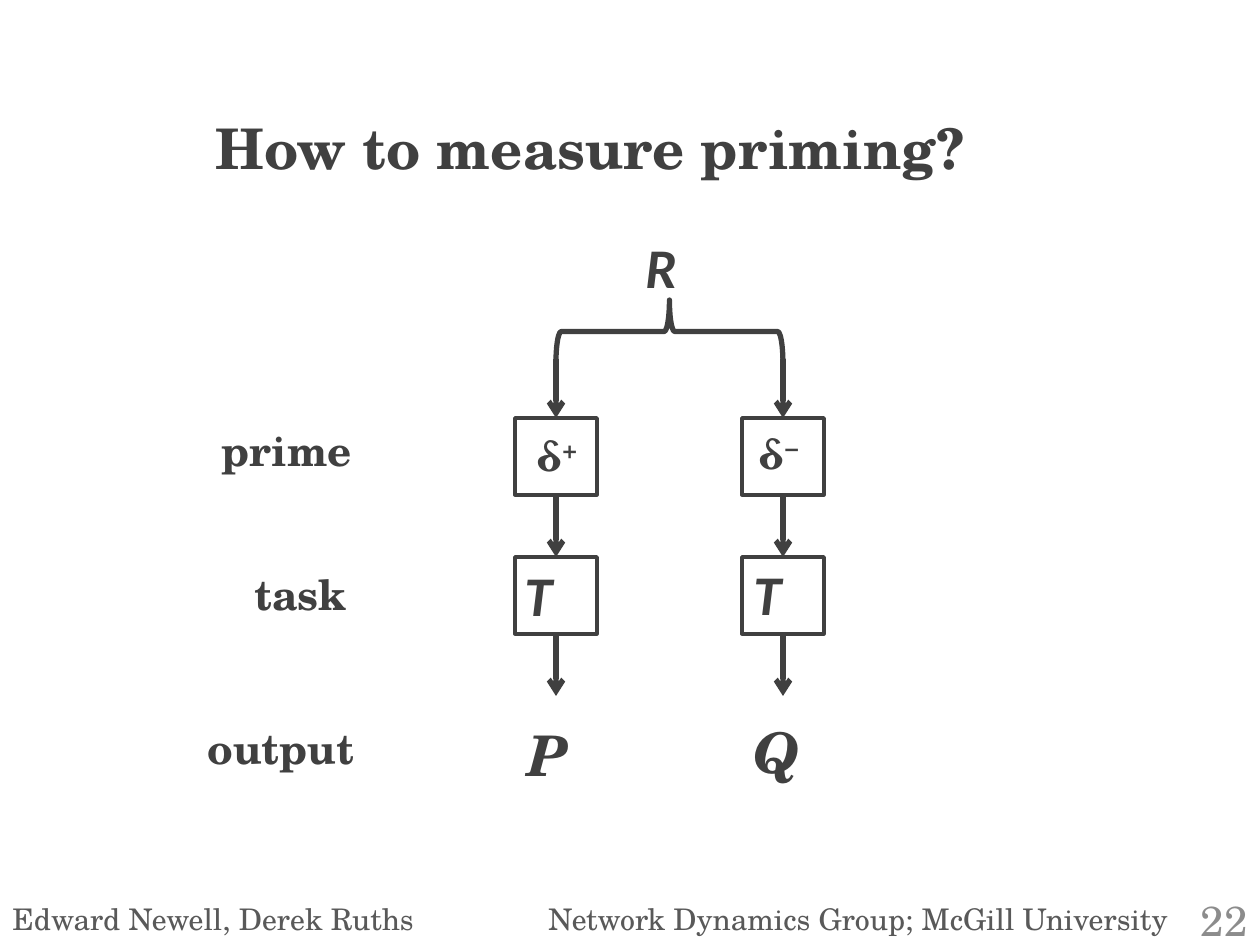
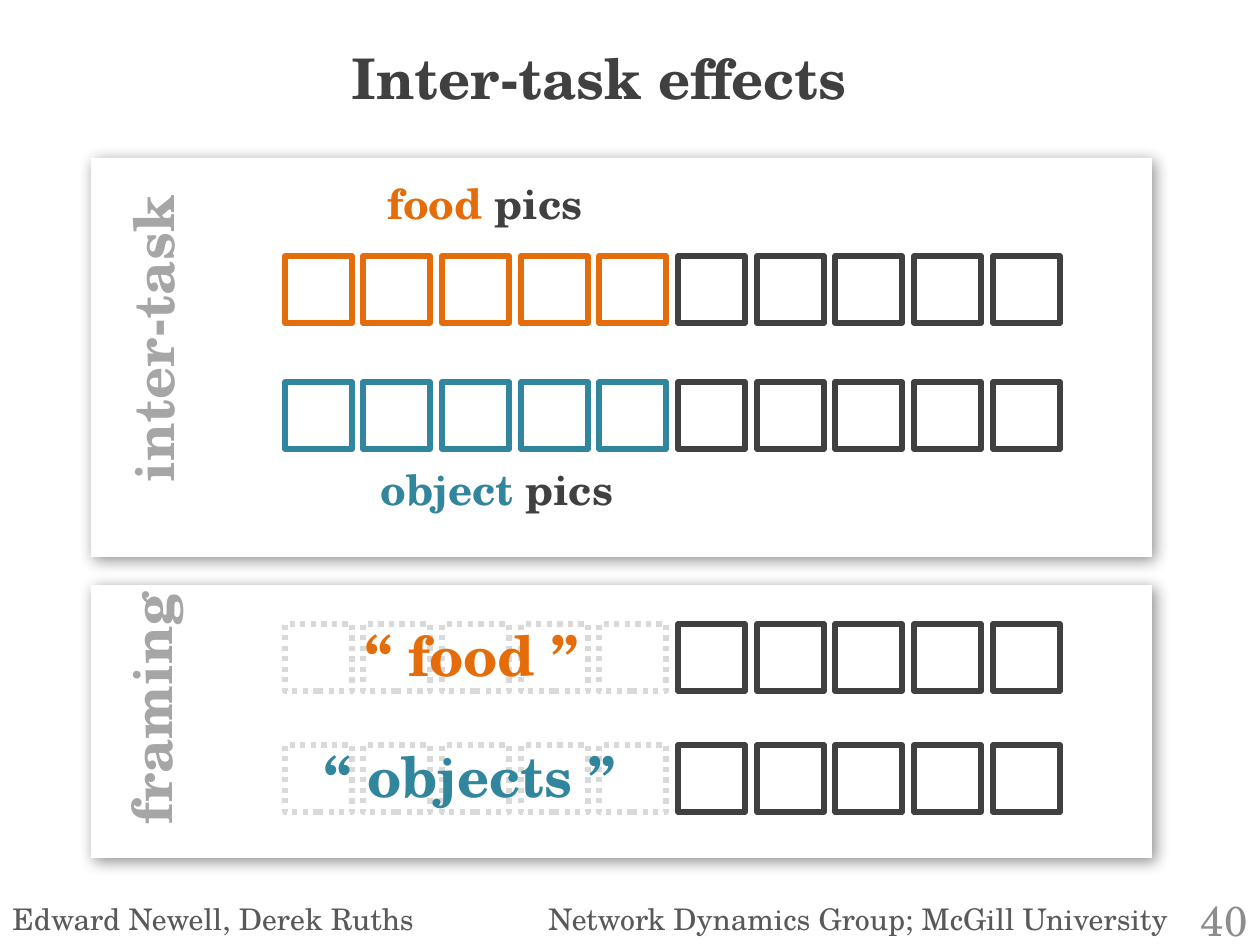
from lxml import etree
from pptx import Presentation
from pptx.dml.color import RGBColor
from pptx.enum.dml import MSO_LINE
from pptx.enum.shapes import MSO_CONNECTOR, MSO_SHAPE
from pptx.enum.text import MSO_ANCHOR, PP_ALIGN
from pptx.oxml.ns import qn
from pptx.util import Inches, Pt

PX = Inches(1) / 126
COLORS = {
    "ink": "404040", "footer": "595959", "number": "8C8C8C", "side": "A6A6A6",
    "ghost": "D9D9D9", "food": "E46C0A", "object": "31859C",
    "panel": "FFFFFF", "shadow": "000000",
}
SERIF, SANS = "TeX Gyre Schola", "Calibri"
TOP, BOTTOM = 0, 2  # connection sites of a rectangle


def emu(*lengths):
    return [round(n * PX) for n in lengths]


def rgb(name):
    return RGBColor.from_string(COLORS[name])


def sub(parent, tag, **attrs):
    return etree.SubElement(parent, qn(tag), attrs)


# ---- basic parts ----
def add_text(slide, box, segments, size, color="ink", font=SERIF, bold=True,
             italic=False, tab=None):
    """Segments: a string, or a list of (text, color, baseline in percent)."""
    sp = slide.shapes.add_textbox(*emu(*box))
    tf = sp.text_frame
    tf.word_wrap = True
    p = tf.paragraphs[0]
    if tab:
        tabs = sub(p._p.get_or_add_pPr(), "a:tabLst")
        sub(tabs, "a:tab", pos=str(emu(tab)[0]), algn="l")
    if isinstance(segments, str):
        segments = [(segments, color, 0)]
    for text, name, baseline in segments:
        r = p.add_run()
        r.text = text
        r.font.name, r.font.size = font, Pt(size)
        r.font.bold, r.font.italic = bold, italic
        r.font.color.rgb = rgb(name)
        if baseline:
            r._r.get_or_add_rPr().set("baseline", str(baseline * 1000))
    return sp


def add_outline(slide, kind, box, color="ink", width=2, dash=None):
    sp = slide.shapes.add_shape(kind, *emu(*box))
    sp.shadow.inherit = False
    sp.fill.background()
    sp.line.color.rgb = rgb(color)
    sp.line.width = Pt(width)
    if dash:
        sp.line.dash_style = dash
    return sp


def add_arrow(slide, x, y1, y2, source=None, target=None):
    c = slide.shapes.add_connector(MSO_CONNECTOR.STRAIGHT, *emu(x, y1, x, y2))
    if source is not None:
        c.begin_connect(source, BOTTOM)
    if target is not None:
        c.end_connect(target, TOP)
    c.line.color.rgb = rgb("ink")
    c.line.width = Pt(3)
    spPr = c.element.spPr
    sub(spPr.find(qn("a:ln")), "a:tailEnd", type="arrow")
    sub(spPr, "a:effectLst")


# ---- shared by the slides ----
def new_slide(prs, title, title_box, number):
    slide = prs.slides.add_slide(prs.slide_layouts[6])
    add_text(slide, (0, 895, 1203, 49),
             "Edward Newell, Derek Ruths\tNetwork Dynamics Group; McGill University",
             17, "footer", bold=False, tab=536)
    sp = add_text(slide, (1166, 895, 94, 50), number, 24, "number", bold=False)
    sp.text_frame.vertical_anchor = MSO_ANCHOR.MIDDLE
    sp.text_frame.paragraphs[0].alignment = PP_ALIGN.RIGHT
    add_text(slide, title_box, title, 32)
    return slide


# ---- priming flow ----
def add_flow_column(slide, axis, top, sign, output, nudges):
    """Arrow, prime box, arrow, task box, arrow, output around a vertical axis.

    Nudges: left and top of the three texts, relative to axis and top.
    """
    w, h, pitch, lead = 82, 77, 139, 59
    prime, task = [
        add_outline(slide, MSO_SHAPE.RECTANGLE, (axis - w // 2, y, w, h))
        for y in (top, top + pitch)]
    add_arrow(slide, axis, top - lead, top, target=prime)
    add_arrow(slide, axis, top + h, top + pitch, prime, task)
    add_arrow(slide, axis, top + pitch + h, top + 2 * pitch, source=task)

    boxes = [(axis + dx, top + dy) for dx, dy in nudges]
    add_text(slide, (*boxes[0], 90, 63), [("δ", "ink", 0), (sign, "ink", 30)], 24)
    add_text(slide, (*boxes[1], w, 81), "T", 32, font=SANS, italic=True)
    add_text(slide, (*boxes[2], w, 81), output, 32, italic=True)


def build_priming(prs):
    slide = new_slide(prs, "How to measure priming?", (203, 107, 903, 81), "22")
    # Source and the brace that splits it
    add_text(slide, (633, 226, 82, 81), "R", 32, font=SANS, italic=True)
    brace = add_outline(slide, MSO_SHAPE.RIGHT_BRACE, (638, 218, 63, 227), width=3)
    brace.rotation = 270
    # Two branches
    add_flow_column(slide, 556, 418, "+", "P", [(-32, 5), (-44, 136), (-41, 296)])
    add_flow_column(slide, 783, 418, "−", "Q", [(-37, 3), (-42, 135), (-42, 293)])
    # Row labels
    for label, x, y in (("prime", 209, 418), ("task", 242, 562), ("output", 195, 716)):
        add_text(slide, (x, y, 268, 63), label, 24)


# ---- task sequences ----
def add_panel(slide, box, label, label_x, label_y):
    """White card with a soft shadow and a label that reads upwards."""
    x, y = box[:2]
    sp = slide.shapes.add_shape(MSO_SHAPE.RECTANGLE, *emu(*box))
    sp.fill.solid()
    sp.fill.fore_color.rgb = rgb("panel")
    sp.line.fill.background()
    sp.shadow.inherit = False
    effects = sp.element.spPr.find(qn("a:effectLst"))
    shadow = sub(effects, "a:outerShdw", blurRad=str(Pt(9)), dist=str(Pt(3)),
                 dir="2700000", algn="tl", rotWithShape="0")
    clr = sub(shadow, "a:srgbClr", val=COLORS["shadow"])
    sub(clr, "a:alpha", val="43000")
    side = add_text(slide, (x + label_x, y + label_y, 321, 81), label, 32, "side")
    side.rotation = 270


def add_task_row(slide, left, top, color, dash=None):
    """Ten evenly spaced squares, the first five in their own style."""
    count, span, size = 10, 708, 67
    for i in range(count):
        first_half = i < count // 2
        add_outline(slide, MSO_SHAPE.RECTANGLE,
                    (left + span * i // (count - 1), top, size, size),
                    color if first_half else "ink", 3, dash if first_half else None)


def build_inter_task_panel(slide, x, y):
    add_panel(slide, (x, y, 1061, 399), "inter-task", -99, 136)
    for key, row_y, text_x, text_y in (("food", 98, 284, 13), ("object", 224, 277, 299)):
        add_task_row(slide, x + 194, y + row_y, key)
        add_text(slide, (x + text_x, y + text_y, 284, 63),
                 [(key + " ", key, 0), ("pics", "ink", 0)], 24)


def build_framing_panel(slide, x, y):
    add_panel(slide, (x, y, 1061, 273), "framing", -101, 51)
    for key, quote, row_y, text_x, text_w in (
            ("food", "“ food ”", 39, 262, 273),
            ("object", "“ objects ”", 160, 221, 350)):
        add_task_row(slide, x + 194, y + row_y, "ghost", MSO_LINE.ROUND_DOT)
        add_text(slide, (x + text_x, y + row_y - 10, text_w, 81), quote, 32, key)


def build_effects(prs):
    slide = new_slide(prs, "Inter-task effects", (339, 37, 528, 81), "40")
    build_inter_task_panel(slide, 91, 158)
    build_framing_panel(slide, 91, 585)


def main():
    prs = Presentation()
    prs.slide_width, prs.slide_height = emu(1260, 945)
    build_priming(prs)
    build_effects(prs)
    prs.save("out.pptx")


if __name__ == "__main__":
    main()
